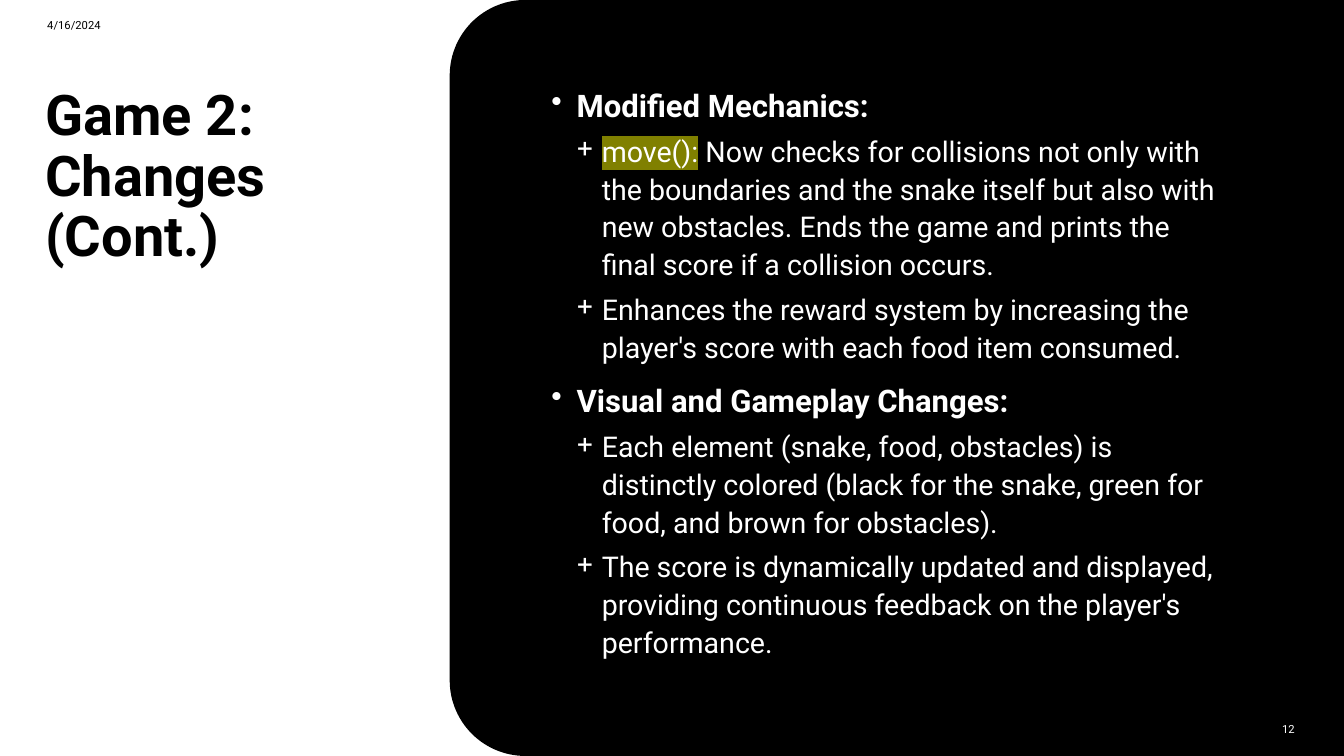
import math
from dataclasses import dataclass

from lxml import etree
from pptx import Presentation
from pptx.dml.color import RGBColor
from pptx.enum.shapes import MSO_SHAPE
from pptx.enum.text import MSO_ANCHOR, PP_ALIGN
from pptx.oxml.ns import qn
from pptx.util import Inches, Pt

RECT = MSO_SHAPE.RECTANGLE
TOP, MIDDLE = MSO_ANCHOR.TOP, MSO_ANCHOR.MIDDLE
LEFT, RIGHT = PP_ALIGN.LEFT, PP_ALIGN.RIGHT


@dataclass(frozen=True)
class Theme:
    font: str = "Roboto"
    dark: str = "000000"
    light: str = "FFFFFF"
    mark: str = "808000"
    title: float = 40
    heading: float = 22.2
    detail: float = 20.4
    small: float = 8


THEME = Theme()
INDENT = Inches(0.25)

CHANGES = [
    ("Modified Mechanics:", [
        ("move():", " Now checks for collisions not only with the boundaries and the "
                    "snake itself but also with new obstacles. Ends the game and prints "
                    "the final score if a collision occurs."),
        ("", "Enhances the reward system by increasing the player's score with each "
             "food item consumed."),
    ]),
    ("Visual and Gameplay Changes:", [
        ("", "Each element (snake, food, obstacles) is distinctly colored (black for "
             "the snake, green for food, and brown for obstacles)."),
        ("", "The score is dynamically updated and displayed, providing continuous "
             "feedback on the player's performance."),
    ]),
]


def share(box, x, y, w, h):
    """Return the part of box given in percent of its width and height."""
    left, top, width, height = box
    return (left + int(width * x / 100), top + int(height * y / 100),
            int(width * w / 100), int(height * h / 100))


def paint(shape, color):
    shape.fill.solid()
    shape.fill.fore_color.rgb = RGBColor.from_string(color)
    shape.line.fill.background()
    shape.shadow.inherit = False


def add_frame(s, box, anchor=TOP):
    tf = s.shapes.add_textbox(*box).text_frame
    tf.word_wrap = True
    tf.vertical_anchor = anchor
    return tf


def add_text(p, text, size, color, bold=False, highlight=None):
    r = p.add_run()
    r.text = text
    font = r.font
    font.size, font.bold = Pt(size), bold
    font.color.rgb = RGBColor.from_string(color)
    font.name = THEME.font
    if highlight:
        mark = etree.Element(qn("a:highlight"))
        etree.SubElement(mark, qn("a:srgbClr"), val=highlight)
        r.font._element.find(qn("a:solidFill")).addnext(mark)


def add_bullet(tf, char, level, before):
    first = tf.paragraphs[0]
    p = tf.add_paragraph() if first.runs else first
    p.level, p.line_spacing, p.space_before = level, 1.1, Pt(before)
    pPr = p._p.get_or_add_pPr()
    pPr.set("marL", str(INDENT * (level + 1)))
    pPr.set("indent", str(-INDENT))
    etree.SubElement(pPr, qn("a:buChar"), char=char)
    return p


def add_caption(s, box, text, color, align=LEFT):
    p = add_frame(s, box, MIDDLE).paragraphs[0]
    p.alignment, p.space_after = align, Pt(6)
    add_text(p, text, THEME.small, color)


def add_title(s, box):
    p = add_frame(s, box).paragraphs[0]
    p.line_spacing = 0.9
    add_text(p, "Game 2:", THEME.title, THEME.dark, bold=True)
    p.add_line_break()
    add_text(p, "Changes (Cont.)", THEME.title, THEME.dark, bold=True)


def add_panel(s, box):
    """Draw the dark panel, rounded at its two left corners."""
    left, top, width, height = box
    right, bottom = left + width, top + height
    radius = height * 0.1

    def corner(center_y, start):
        return [(left + radius + radius * math.cos(math.radians(a)),
                 center_y + radius * math.sin(math.radians(a)))
                for a in range(start, start + 91, 3)]

    outline = corner(bottom - radius, 90) + corner(top + radius, 180)
    builder = s.shapes.build_freeform(right, top)
    builder.add_line_segments([(right, bottom)] + outline, close=True)
    paint(builder.convert_to_shape(), THEME.dark)


def add_changes(s, box):
    tf = add_frame(s, box)
    for heading, details in CHANGES:
        p = add_bullet(tf, "•", 0, 10)
        add_text(p, heading, THEME.heading, THEME.light, bold=True)
        for marked, text in details:
            p = add_bullet(tf, "+", 1, 5)
            if marked:
                add_text(p, marked, THEME.detail, THEME.light, highlight=THEME.mark)
            add_text(p, text, THEME.detail, THEME.light)


def add_changes_slide(prs, box):
    s = prs.slides.add_slide(prs.slide_layouts[6])
    s.background.fill.solid()
    s.background.fill.fore_color.rgb = RGBColor.from_string(THEME.dark)
    paint(s.shapes.add_shape(RECT, *box), THEME.light)
    add_title(s, share(box, 2.63, 10.93, 26.48, 79.33))
    add_caption(s, share(box, 2.78, 0.93, 22.5, 4.67), "4/16/2024", THEME.dark)
    add_panel(s, share(box, 33.46, 0, 66.54, 100))
    add_changes(s, share(box, 40.29, 10.27, 51.16, 79.07))
    add_caption(s, share(box, 93.55, 93.73, 3.53, 5.33), "12", THEME.light, RIGHT)


def main():
    prs = Presentation()
    prs.slide_width, prs.slide_height = Inches(13.33), Inches(7.5)
    add_changes_slide(prs, (0, 0, prs.slide_width, prs.slide_height))
    prs.save("out.pptx")


if __name__ == "__main__":
    main()
